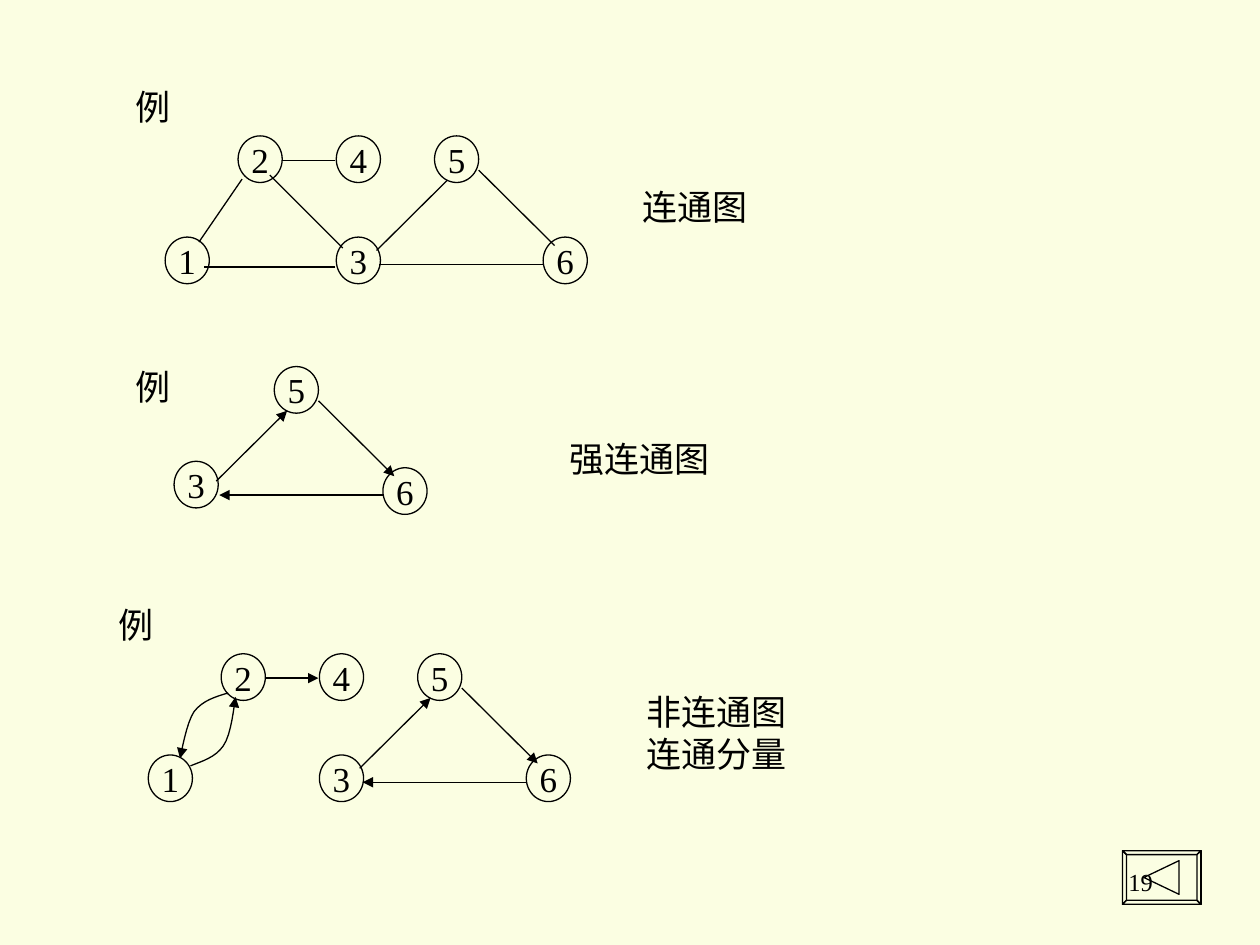
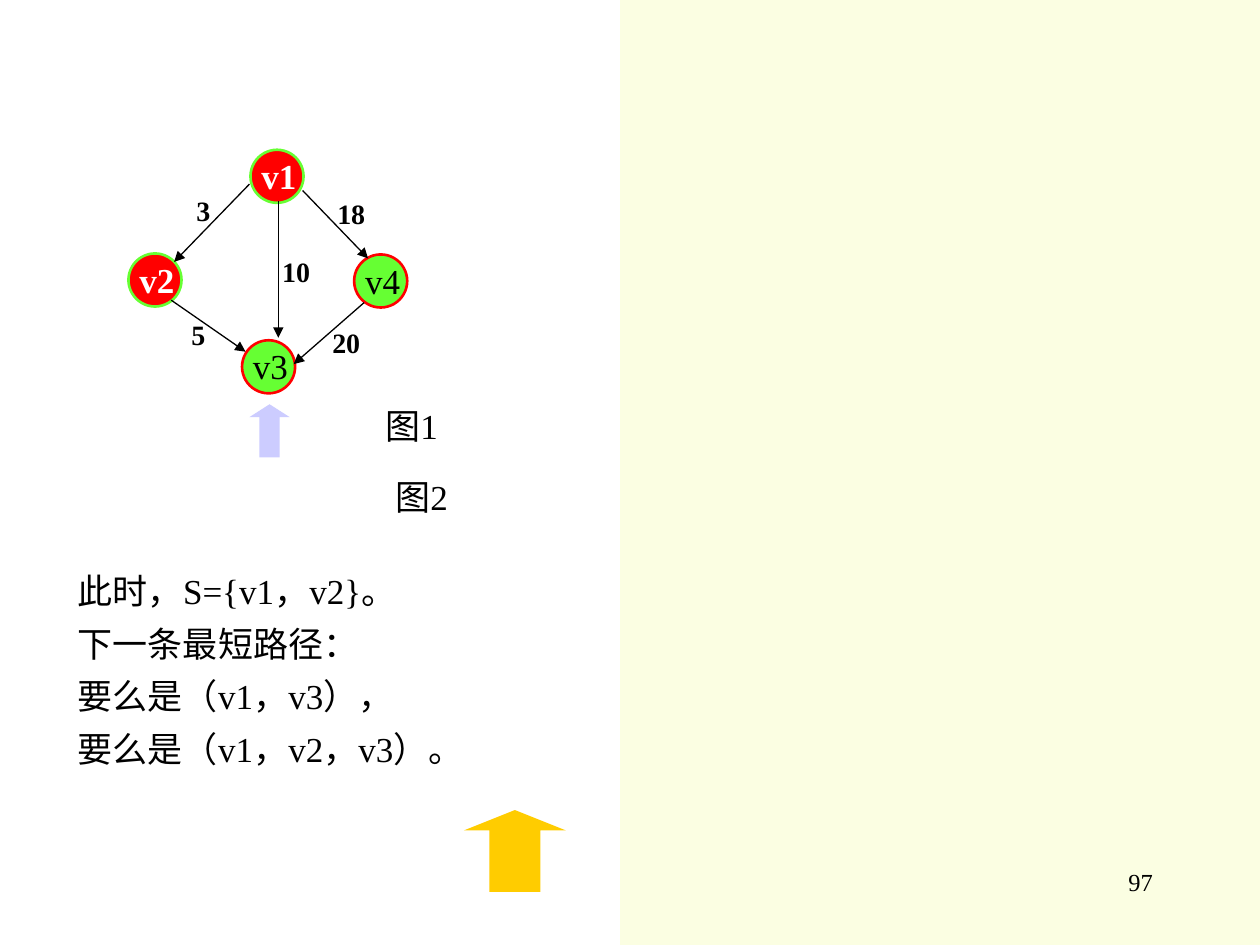
from pptx import Presentation
from pptx.dml.color import RGBColor
from pptx.enum.shapes import MSO_CONNECTOR, MSO_SHAPE
from pptx.enum.text import MSO_ANCHOR, PP_ALIGN
from pptx.oxml.ns import qn
from pptx.util import Cm, Pt
from lxml.etree import SubElement

CREAM = RGBColor(0xFB, 0xFE, 0xE2)
BLACK = RGBColor(0x00, 0x00, 0x00)
WHITE = RGBColor(0xFF, 0xFF, 0xFF)
RED = RGBColor(0xFF, 0x00, 0x00)
GREEN = RGBColor(0x66, 0xFF, 0x33)
LILAC = RGBColor(0xCC, 0xCC, 0xFF)
GOLD = RGBColor(0xFF, 0xCC, 0x00)
FONT = "Times New Roman"

# Undirected graph: node corners and edge ends in cm
NODES = {1: (3.33, 4.78), 2: (4.8, 2.74), 3: (6.78, 4.78),
         4: (6.78, 2.74), 5: (8.76, 2.74), 6: (10.95, 4.78)}
EDGES = {(2, 4): (5.69, 3.23, 6.76, 3.23), (2, 3): (5.44, 3.53, 6.91, 5.0),
         (6, 3): (10.97, 5.33, 7.65, 5.33), (3, 5): (7.59, 5.05, 9.02, 3.63),
         (5, 6): (9.65, 3.43, 11.18, 4.95), (3, 1): (6.76, 5.38, 4.11, 5.38),
         (1, 2): (4.01, 4.88, 4.88, 3.61)}
CYCLE = [(6, 3), (3, 5), (5, 6)]

# Directed curves between nodes 1 and 2: Bezier control points in cm
CURVES = [
    [(4.6, 13.97), (4.34, 14.05), (4.09, 14.12), (3.91, 14.35),
     (3.76, 14.58), (3.66, 15.16), (3.63, 15.29)],
    [(3.84, 15.44), (4.09, 15.34), (4.34, 15.27), (4.5, 15.04),
     (4.67, 14.81), (4.72, 14.2), (4.75, 14.05)],
]

# Weighted graph: name, corner, visited
VERTICES = [("v2", 2.59, 5.11, True), ("v1", 5.05, 3.02, True),
            ("v4", 7.14, 5.13, False), ("v3", 4.88, 6.86, False)]
# Weight, edge ends, corner of the weight label
WEIGHTED_EDGES = [
    ("3", (5.03, 3.71, 3.51, 5.28), (3.71, 3.78)),
    ("5", (3.45, 6.05, 4.95, 7.09), (3.61, 6.27)),
    ("10", (5.61, 4.06, 5.61, 6.81), (5.44, 5.0)),
    ("18", (6.1, 3.84, 7.42, 5.21), (6.55, 3.84)),
    ("20", (7.34, 6.1, 5.92, 7.34), (6.45, 6.43)),
]


def write(tf, text, size=20, color=BLACK, bold=False, align=PP_ALIGN.LEFT,
          anchor=MSO_ANCHOR.TOP, spacing=None, wrap=False):
    tf.word_wrap = wrap
    tf.vertical_anchor = anchor
    for i, line in enumerate(text.split("\n")):
        p = tf.paragraphs[0] if i == 0 else tf.add_paragraph()
        p.alignment = align
        p.line_spacing = spacing
        r = p.add_run()
        r.text = line
        r.font.name, r.font.size = FONT, Pt(size)
        r.font.bold, r.font.color.rgb = bold, color


def add_label(s, text, x, y, w, h=1.12, **fmt):
    sp = s.shapes.add_textbox(Cm(x), Cm(y), Cm(w), Cm(h))
    write(sp.text_frame, text, **fmt)


def paint(sp, fill=None, line=None, width=0.75):
    sp.shadow.inherit = False
    for target, color in ((sp.fill, fill), (sp.line.fill, line)):
        if color is None:
            target.background()
        else:
            target.solid()
            target.fore_color.rgb = color
    if line is not None:
        sp.line.width = Pt(width)


def add_preset(s, kind, x, y, w, h, **look):
    sp = s.shapes.add_shape(kind, Cm(x), Cm(y), Cm(w), Cm(h))
    paint(sp, **look)
    return sp


def add_arrowhead(sp):
    SubElement(sp.line._get_or_add_ln(), qn("a:tailEnd"), type="triangle")


def add_edge(s, x1, y1, x2, y2, arrow=True):
    cx = s.shapes.add_connector(MSO_CONNECTOR.STRAIGHT, Cm(x1), Cm(y1), Cm(x2), Cm(y2))
    cx.line.color.rgb, cx.line.width = BLACK, Pt(0.75)
    if arrow:
        add_arrowhead(cx)
    SubElement(cx._element.spPr, qn("a:effectLst"))


def add_outline(s, contours, close=True):
    contours = [[(Cm(x), Cm(y)) for x, y in points] for points in contours]
    builder = s.shapes.build_freeform(*contours[0][0])
    for i, points in enumerate(contours):
        if i:
            builder.move_to(*points[0])
        builder.add_line_segments(points[1:], close=close)
    sp = builder.convert_to_shape()
    paint(sp, line=BLACK)
    return sp


def bezier(p0, p1, p2, p3, steps=8):
    for t in (i / steps for i in range(1, steps + 1)):
        u = 1 - t
        yield tuple(u**3 * a + 3 * u * u * t * b + 3 * u * t * t * c + t**3 * d
                    for a, b, c, d in zip(p0, p1, p2, p3))


def add_curve(s, points):
    samples = [points[0]]
    for i in range(0, len(points) - 1, 3):
        samples += bezier(*points[i:i + 4])
    add_arrowhead(add_outline(s, [samples], close=False))


def add_graph(s, nodes, edges, dx=0, dy=0, arrow=True):
    for name, (x, y) in nodes.items():
        sp = add_preset(s, MSO_SHAPE.OVAL, x + dx, y + dy, 0.89, 0.94, line=BLACK)
        write(sp.text_frame, str(name), align=PP_ALIGN.CENTER, anchor=MSO_ANCHOR.MIDDLE)
    for edge in edges:
        x1, y1, x2, y2 = EDGES[edge]
        add_edge(s, x1 + dx, y1 + dy, x2 + dx, y2 + dy, arrow)


def add_back_button(s):
    def corners(inset):
        left, top, right, bottom = 22.63 + inset, 17.15 + inset, 24.21 - inset, 18.23 - inset
        return [(left, top), (right, top), (right, bottom), (left, bottom)]

    outer, inner = corners(0), corners(0.08)
    sides = [[outer[i], outer[(i + 1) % 4], inner[(i + 1) % 4], inner[i]] for i in range(4)]
    triangle = [(23.06, 17.69), (23.77, 17.35), (23.77, 18.03)]
    add_outline(s, [outer, *sides, triangle])


def add_page(prs, number):
    s = prs.slides.add_slide(prs.slide_layouts[6])
    add_label(s, number, 18.21, 17.35, 5.28, 1.27, size=14, align=PP_ALIGN.RIGHT, wrap=True)
    return s


def connectivity_slide(prs):
    s = add_page(prs, "19")
    # Connected graph
    add_label(s, "例", 2.49, 1.6, 1.22)
    add_graph(s, NODES, EDGES, arrow=False)
    add_label(s, "连通图", 12.7, 3.61, 2.62)
    # Strongly connected graph
    add_label(s, "例", 2.49, 7.24, 1.22)
    cycle_nodes = {3: (6.74, 4.65), 5: NODES[5], 6: NODES[6]}
    add_graph(s, cycle_nodes, CYCLE, dx=-3.23, dy=4.65)
    add_label(s, "强连通图", 11.23, 8.69, 3.33)
    # Unconnected graph and its components
    add_label(s, "例", 2.13, 12.04, 1.22)
    add_graph(s, NODES, [(2, 4), *CYCLE], dx=-0.34, dy=10.44)
    for points in CURVES:
        add_curve(s, points)
    add_label(s, "非连通图\n连通分量", 12.78, 13.79, 3.33, 1.96)
    add_back_button(s)


def shortest_path_slide(prs):
    s = add_page(prs, "97")
    add_preset(s, MSO_SHAPE.RECTANGLE, 0, 0, 12.5, 19.05, fill=WHITE)
    # Weighted graph
    for name, x, y, visited in VERTICES:
        fill, line = (RED, GREEN) if visited else (GREEN, RED)
        add_preset(s, MSO_SHAPE.OVAL, x, y, 1.07, 1.07, fill=fill, line=line, width=1.5)
        add_label(s, name, x - 0.03, y - 0.03, 1.22,
                  color=WHITE if visited else BLACK, bold=visited)
    for weight, ends, (x, y) in WEIGHTED_EDGES:
        add_edge(s, *ends)
        add_label(s, weight, x, y, 0.51 + 0.28 * len(weight), 0.94, size=16, bold=True)
    # Pointers
    for x, y, w, h, head, color in ((5.03, 8.15, 0.81, 1.07, 0.32, LILAC),
                                    (9.35, 16.33, 2.06, 1.65, 0.25, GOLD)):
        sp = add_preset(s, MSO_SHAPE.UP_ARROW, x, y, w, h, fill=color)
        sp.adjustments[1] = head
    # Explanation and captions
    add_label(s, "此时，S={v1，v2}。\n下一条最短路径：\n要么是（v1，v3），\n要么是（v1，v2，v3）。",
              1.32, 11.15, 9.3, 4.5, spacing=1.25, wrap=True)
    add_label(s, "图1", 7.52, 8.03, 1.73)
    add_label(s, "图2", 7.72, 9.47, 1.73)


def main():
    prs = Presentation()
    prs.slide_width, prs.slide_height = Cm(25.4), Cm(19.05)
    background = prs.slide_master.background.fill
    background.solid()
    background.fore_color.rgb = CREAM
    connectivity_slide(prs)
    shortest_path_slide(prs)
    prs.save("out.pptx")


if __name__ == "__main__":
    main()
